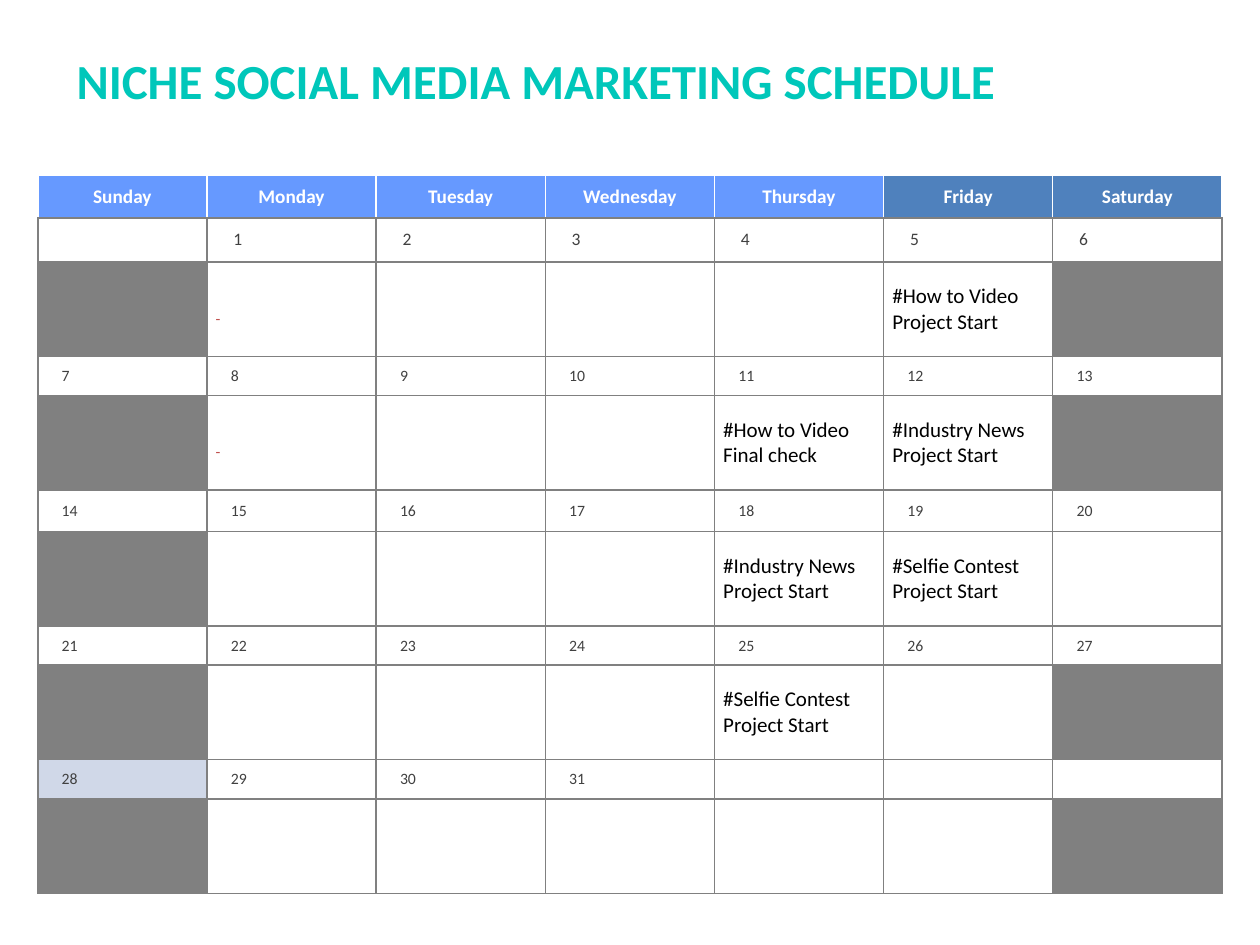
from dataclasses import dataclass

from lxml.etree import SubElement
from pptx import Presentation
from pptx.dml.color import RGBColor
from pptx.enum.text import MSO_ANCHOR, MSO_AUTO_SIZE, PP_ALIGN
from pptx.oxml.ns import qn
from pptx.util import Inches, Pt


@dataclass(frozen=True)
class Theme:
    font: str = "Calibri"
    title: str = "00C7BA"
    weekday: str = "6699FF"
    late_week: str = "4F81BD"
    white: str = "FFFFFF"
    gray: str = "808080"
    highlight: str = "D0D8E8"
    number: str = "404040"
    event: str = "000000"
    dash: str = "C0504D"
    title_size: int = 28
    header_size: int = 11
    first_week_size: int = 10
    small_size: int = 9
    event_size: int = 12


THEME = Theme()
WEEKDAYS = ["Sunday", "Monday", "Tuesday", "Wednesday", "Thursday", "Friday", "Saturday"]
LAST_DAY = 31
HIGHLIGHTED_DAY = 28
OPEN_SATURDAY = 20
DASH_DAYS = (1, 8)
EVENTS = {
    5: ["#How to Video", "Project Start"],
    11: ["#How to Video", "Final check"],
    12: ["#Industry News", "Project Start"],
    18: ["#Industry News", "Project Start"],
    19: ["#Selfie Contest", "Project Start"],
    25: ["#Selfie Contest", "Project Start"],
}
HEADER_HEIGHT = 0.34
NUMBER_HEIGHTS = [0.35, 0.31, 0.33, 0.31, 0.31]
EVENT_HEIGHT = 0.75


def add_run(p, text, size, color, bold=False):
    r = p.add_run()
    r.text = text
    r.font.name = THEME.font
    r.font.size = Pt(size)
    r.font.bold = bold
    r.font.color.rgb = RGBColor.from_string(color)


def style_cell(cell, fill, top=THEME.gray, side=THEME.gray):
    """Set the margins, anchor, borders and fill of a cell."""
    cell.margin_left = cell.margin_right = Inches(0.07)
    cell.margin_top = cell.margin_bottom = 0
    cell.vertical_anchor = MSO_ANCHOR.MIDDLE
    tcPr = cell._tc.get_or_add_tcPr()
    for tag, color in (("lnL", side), ("lnR", side), ("lnT", top), ("lnB", THEME.gray)):
        ln = SubElement(tcPr, qn(f"a:{tag}"), w=str(Pt(1)))
        SubElement(SubElement(ln, qn("a:solidFill")), qn("a:srgbClr"), val=color)
    cell.fill.solid()
    cell.fill.fore_color.rgb = RGBColor.from_string(fill)


def write_lines(cell, lines, size, color):
    tf = cell.text_frame
    for i, line in enumerate(lines):
        p = tf.add_paragraph() if i else tf.paragraphs[0]
        add_run(p, line, size, color)


def fill_header(cell, col):
    fill = THEME.late_week if col >= 5 else THEME.weekday
    style_cell(cell, fill, top=THEME.white, side=THEME.white)
    p = cell.text_frame.paragraphs[0]
    p.alignment = PP_ALIGN.CENTER
    add_run(p, WEEKDAYS[col], THEME.header_size, THEME.white, bold=True)


def fill_number(cell, day, week):
    style_cell(cell, THEME.highlight if day == HIGHLIGHTED_DAY else THEME.white)
    if 1 <= day <= LAST_DAY:
        p = cell.text_frame.paragraphs[0]
        p._p.get_or_add_pPr().set("indent", str(Inches(0.12 if week else 0.14)))
        size = THEME.small_size if week else THEME.first_week_size
        add_run(p, str(day), size, THEME.number)


def fill_events(cell, day, col):
    closed = col == 0 or (col == 6 and day != OPEN_SATURDAY)
    style_cell(cell, THEME.gray if closed else THEME.white)
    if day in DASH_DAYS:
        cell.margin_top = Inches(0.15)
        write_lines(cell, ["-"], THEME.small_size, THEME.dash)
    write_lines(cell, EVENTS.get(day, []), THEME.event_size, THEME.event)


def add_title(slide, left, top, width, height):
    tf = slide.shapes.add_textbox(left, top, width, height).text_frame
    tf.word_wrap = True
    tf.auto_size = MSO_AUTO_SIZE.SHAPE_TO_FIT_TEXT
    tf.vertical_anchor = MSO_ANCHOR.MIDDLE
    add_run(tf.paragraphs[0], "NICHE SOCIAL MEDIA MARKETING SCHEDULE",
            THEME.title_size, THEME.title, bold=True)


def add_calendar(slide, left, top, width):
    """Add a header row, then a number row and an event row for each week."""
    heights = [HEADER_HEIGHT]
    for number_height in NUMBER_HEIGHTS:
        heights += [number_height, EVENT_HEIGHT]
    days = len(WEEKDAYS)
    table = slide.shapes.add_table(
        len(heights), days, left, top, width, Inches(sum(heights))).table
    table.horz_banding = False
    for row, height in zip(table.rows, heights):
        row.height = Inches(height)
    for col in range(days):
        table.columns[col].width = width // days
        fill_header(table.cell(0, col), col)
        for week in range(len(NUMBER_HEIGHTS)):
            day = week * days + col
            fill_number(table.cell(2 * week + 1, col), day, week)
            fill_events(table.cell(2 * week + 2, col), day, col)


def main():
    prs = Presentation()
    prs.slide_width, prs.slide_height = Inches(10), Inches(7.5)
    s = prs.slides.add_slide(prs.slide_layouts[6])
    add_title(s, Inches(0.51), Inches(0.35), Inches(8.83), Inches(0.57))
    add_calendar(s, Inches(0.3), Inches(1.39), Inches(9.4))
    prs.save("out.pptx")


if __name__ == "__main__":
    main()
